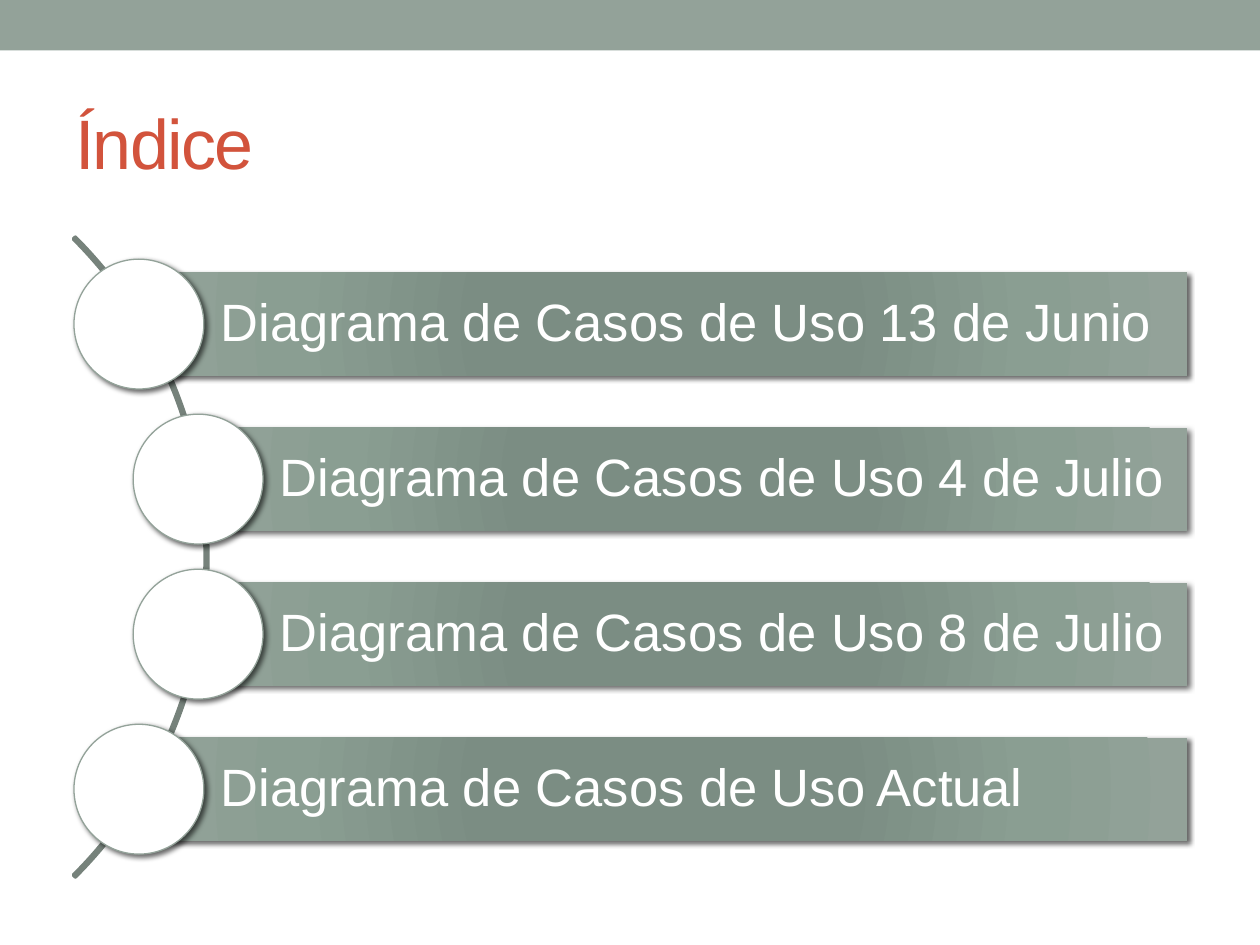
from lxml import etree
from pptx import Presentation
from pptx.dml.color import RGBColor
from pptx.enum.shapes import MSO_SHAPE
from pptx.enum.text import MSO_ANCHOR, PP_ALIGN
from pptx.oxml.ns import qn
from pptx.util import Pt

RECTANGLE = MSO_SHAPE.RECTANGLE
OVAL = MSO_SHAPE.OVAL
BLOCK_ARC = MSO_SHAPE.BLOCK_ARC
MIDDLE = MSO_ANCHOR.MIDDLE
LEFT = PP_ALIGN.LEFT

SAGE = "93A299"
ARC_COLOR = "76827B"
WHITE = "FFFFFF"
TITLE_COLOR = "D2533C"
BAR_STOPS = [(0, "7B8E82"), (34, "7B8D83"), (70, "8A9E92"), (100, SAGE)]

ENTRIES = [
    ("Diagrama de Casos de Uso 13 de Junio", 79.4),
    ("Diagrama de Casos de Uso 4 de Julio", 113.2),
    ("Diagrama de Casos de Uso 8 de Julio", 113.2),
    ("Diagrama de Casos de Uso Actual", 79.4),
]
BAR_RIGHT = 678.4
BAR_HEIGHT = 59
FIRST_CENTER = 185.2
STEP = 88.6
CIRCLE_SIZE = 74.2


def color(value):
    """Return the colour for a hex string."""
    return RGBColor.from_string(value)


def set_values(target, values):
    """Set each attribute named in a dict of format values."""
    for name, value in values.items():
        setattr(target, name, value)


def add_shape(slide, kind, left, top, width, height, fill=None, line=None, weight=0.75):
    """Add a preset shape without a shadow and with an optional fill and line."""
    shape = slide.shapes.add_shape(kind, Pt(left), Pt(top), Pt(width), Pt(height))
    shape.shadow.inherit = False
    if fill:
        shape.fill.solid()
        shape.fill.fore_color.rgb = color(fill)
    else:
        shape.fill.background()
    if line:
        shape.line.color.rgb = color(line)
        shape.line.width = Pt(weight)
    else:
        shape.line.fill.background()
    return shape


def add_child(parent, tag, **attributes):
    """Append a drawing element with its attributes."""
    child = etree.SubElement(parent, qn(tag))
    for name, value in attributes.items():
        child.set(name, str(value))
    return child


def set_radial_gradient(shape, stops):
    """Fill a shape with a circular gradient."""
    shape.fill.gradient()
    gradient = shape._element.spPr.find(qn("a:gradFill"))
    for child in list(gradient):
        gradient.remove(child)
    stop_list = add_child(gradient, "a:gsLst")
    for position, value in stops:
        stop = add_child(stop_list, "a:gs", pos=position * 1000)
        add_child(stop, "a:srgbClr", val=value)
    circle = add_child(gradient, "a:path", path="circle")
    add_child(circle, "a:fillToRect", l=100000, t=100000, r=100000, b=100000)


def add_soft_shadow(shape):
    """Give a shape a soft black shadow to the lower right."""
    effects = shape._element.spPr.find(qn("a:effectLst"))
    shadow = add_child(effects, "a:outerShdw", blurRad=Pt(3), dist=Pt(2),
                       dir=45 * 60000, algn="ctr", rotWithShape=0)
    black = add_child(shadow, "a:srgbClr", val="000000")
    add_child(black, "a:alpha", val=60000)


def write_text(shape, text, size, value, frame_values, line_spacing=1.0):
    """Write one left-aligned line into a shape and return its run."""
    frame = shape.text_frame
    set_values(frame, {"word_wrap": True, "vertical_anchor": MIDDLE, **frame_values})
    paragraph = frame.paragraphs[0]
    set_values(paragraph, {"alignment": LEFT, "line_spacing": line_spacing})
    run = paragraph.add_run()
    run.text = text
    set_values(run.font, {"name": "Arial", "size": Pt(size)})
    run.font.color.rgb = color(value)
    return run


def add_title(slide, text):
    """Add the slide title with tightened letter spacing."""
    box = slide.shapes.add_textbox(Pt(36), Pt(41.8), Pt(648), Pt(77.8))
    run = write_text(box, text, 40, TITLE_COLOR, {})
    run.font._element.set("spc", "-100")


def add_arc(slide):
    """Add the thin quarter arc that links the circles."""
    arc = add_shape(slide, BLOCK_ARC, -398.2, 59.8, 517, 517, line=ARC_COLOR, weight=2.08)
    for index, value in enumerate((189, 27, 0.003)):
        arc.adjustments[index] = value


def add_entry(slide, text, left, center):
    """Add one index bar with the circle centred on its left edge."""
    bar = add_shape(slide, RECTANGLE, left, center - BAR_HEIGHT / 2,
                    BAR_RIGHT - left, BAR_HEIGHT)
    set_radial_gradient(bar, BAR_STOPS)
    add_soft_shadow(bar)
    margins = {"margin_left": Pt(46.8), "margin_top": Pt(5.8),
               "margin_right": Pt(5.8), "margin_bottom": Pt(5.8)}
    write_text(bar, text, 30, WHITE, margins, line_spacing=0.9)
    radius = CIRCLE_SIZE / 2
    circle = add_shape(slide, OVAL, left - radius, center - radius,
                       CIRCLE_SIZE, CIRCLE_SIZE, fill=WHITE, line=SAGE)
    add_soft_shadow(circle)


def main():
    """Build the index slide."""
    presentation = Presentation()
    set_values(presentation, {"slide_width": Pt(720), "slide_height": Pt(540)})
    slide = presentation.slides.add_slide(presentation.slide_layouts[6])
    add_shape(slide, RECTANGLE, 0, 0, 720, 28.8, fill=SAGE)
    add_title(slide, "Índice")
    add_arc(slide)
    for index, (text, left) in enumerate(ENTRIES):
        add_entry(slide, text, left, FIRST_CENTER + index * STEP)
    presentation.save("out.pptx")


if __name__ == "__main__":
    main()
